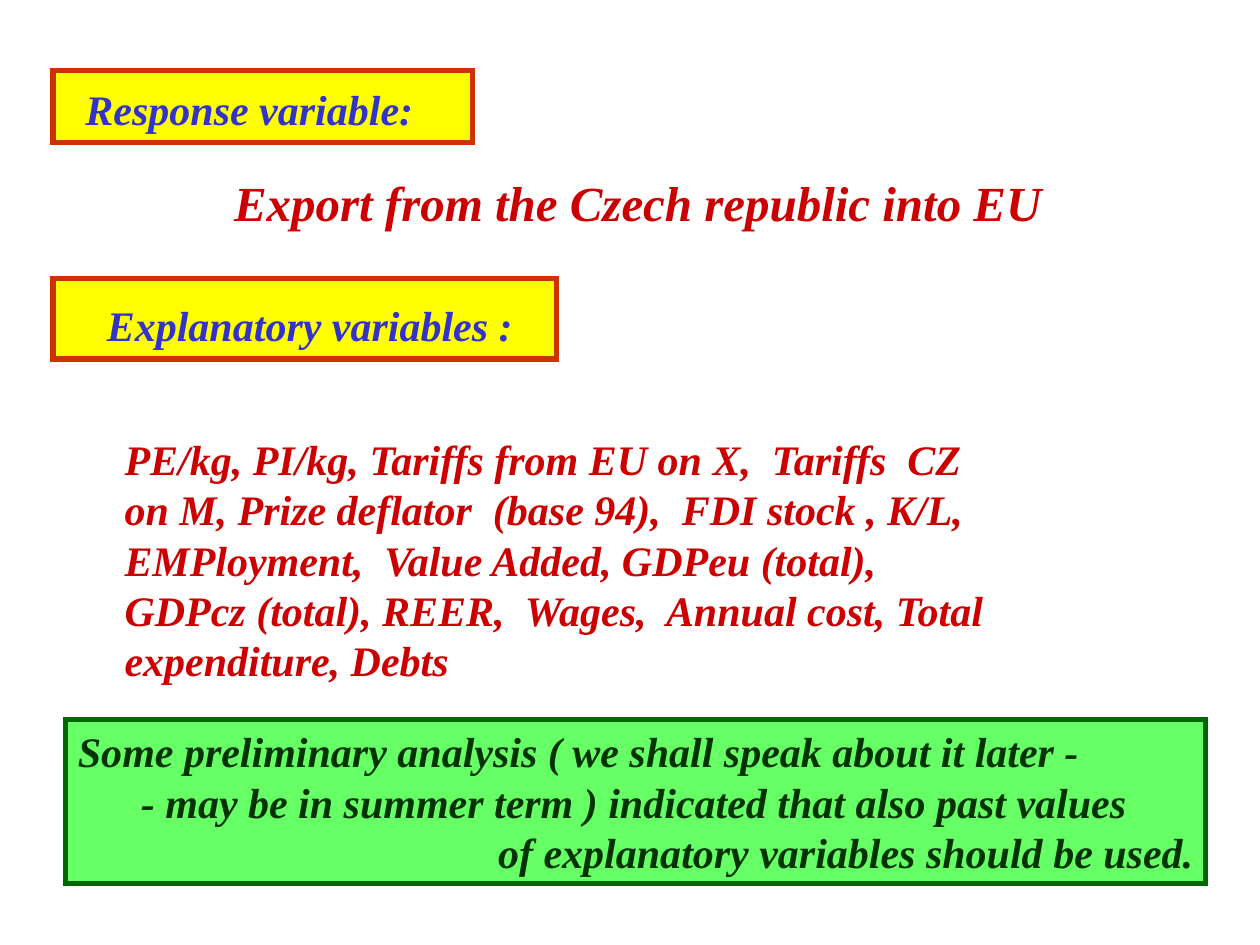
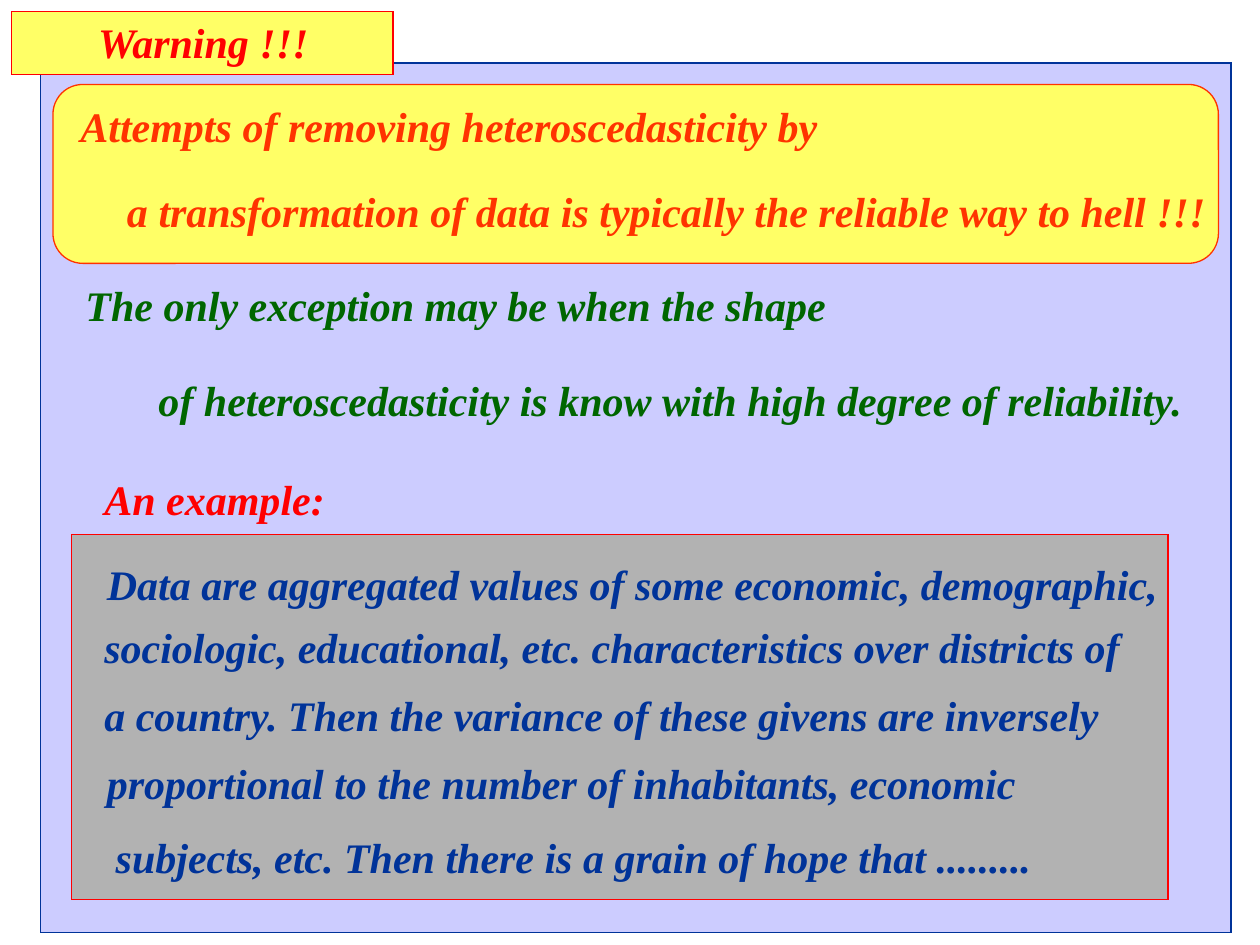
"""Build two slides on the variables of an export model and on heteroscedasticity."""
import lxml.etree
import pptx
import pptx.dml.color
import pptx.enum.shapes
import pptx.enum.text
import pptx.oxml.ns
import pptx.util

PX = 9144
FONT = "Times New Roman"
RED, CRIMSON, ORANGE = "FF0000", "CC0000", "FF3300"
BLUE, NAVY, GREEN, DARK_GREEN = "3333CC", "003399", "006600", "003300"
YELLOW, PALE_YELLOW, LIGHT_GREEN = "FFFF00", "FFFF66", "66FF66"
RECTANGLE = pptx.enum.shapes.MSO_SHAPE.RECTANGLE
ROUNDED = pptx.enum.shapes.MSO_SHAPE.ROUNDED_RECTANGLE
LINE_HEIGHT = 40


def color(hex_string):
    return pptx.dml.color.RGBColor.from_string(hex_string)


def write(shape, text, size, text_color):
    text_frame = shape.text_frame
    text_frame.text = text
    text_frame.word_wrap = False
    text_frame.vertical_anchor = pptx.enum.text.MSO_ANCHOR.TOP
    text_frame.auto_size = pptx.enum.text.MSO_AUTO_SIZE.SHAPE_TO_FIT_TEXT
    for paragraph in text_frame.paragraphs:
        paragraph.alignment = pptx.enum.text.PP_ALIGN.LEFT
        for run in paragraph.runs:
            run.font.name = FONT
            run.font.size = pptx.util.Pt(size)
            run.font.bold = run.font.italic = True
            run.font.color.rgb = color(text_color)


variables = "\n".join([
    "PE/kg, PI/kg, Tariffs from EU on X,  Tariffs  CZ",
    "on M, Prize deflator  (base 94),  FDI stock , K/L,",
    "EMPloyment,  Value Added, GDPeu (total),",
    "GDPcz (total), REER,  Wages,  Annual cost, Total",
    "expenditure, Debts",
])
remark = "\n".join([
    "Some preliminary analysis ( we shall speak about it later -",
    "- may be in summer term ) indicated that also past values",
    "of explanatory variables should be used.",
])

variable_panels = [
    (RECTANGLE, 42, 56, 333, 57, YELLOW, "CC3300", 3),
    (RECTANGLE, 42, 221, 400, 64, YELLOW, "CC3300", 3),
    (RECTANGLE, 52, 571, 905, 130, LIGHT_GREEN, GREEN, 3),
]
variable_texts = [
    (58, 61, 288, "Response variable:", 24, BLUE),
    (176, 132, 670, "Export from the Czech republic into EU", 28, CRIMSON),
    (75, 233, 350, "Explanatory variables :", 24, BLUE),
    (89, 339, 717, variables, 24, CRIMSON),
]
warning_panels = [
    (RECTANGLE, 32, 50, 945, 690, "CCCCFF", NAVY, 0.75),
    (RECTANGLE, 9, 9, 303, 50, PALE_YELLOW, RED, 0.75),
    (RECTANGLE, 57, 424, 870, 290, "B2B2B2", RED, 0.75),
    (ROUNDED, 42, 67, 925, 142, PALE_YELLOW, ORANGE, 0.75),
]
warning_texts = [
    (68, 8, 195, "Warning !!!", 24, RED),
    (54, 75, 620, "Attempts of removing heteroscedasticity by", 24, ORANGE),
    (91, 142, 900, "a transformation of data is typically the reliable way to hell !!!", 24, ORANGE),
    (58, 217, 620, "The only exception may be when the shape", 24, GREEN),
    (116, 292, 850, "of heteroscedasticity is know with high degree of reliability.", 24, GREEN),
    (73, 371, 205, "An example:", 24, RED),
    (75, 438, 870, "Data are aggregated values of some economic, demographic,", 24, NAVY),
    (73, 488, 850, "sociologic, educational, etc. characteristics over districts of", 24, NAVY),
    (73, 542, 830, "a country. Then the variance of these givens are inversely", 24, NAVY),
    (75, 596, 770, "proportional to the number of inhabitants, economic", 24, NAVY),
    (82, 655, 770, "subjects, etc. Then there is a grain of hope that .........", 24, NAVY),
]

presentation = pptx.Presentation()
presentation.slide_width = 1000 * PX
presentation.slide_height = 750 * PX

for panels, texts in [(variable_panels, variable_texts), (warning_panels, warning_texts)]:
    slide = presentation.slides.add_slide(presentation.slide_layouts[6])
    for kind, left, top, width, height, fill, line, line_width in panels:
        panel = slide.shapes.add_shape(kind, left * PX, top * PX, width * PX, height * PX)
        panel.shadow.inherit = False
        panel.fill.solid()
        panel.fill.fore_color.rgb = color(fill)
        panel.line.color.rgb = color(line)
        panel.line.width = pptx.util.Pt(line_width)
        outline = panel._element.spPr.find(pptx.oxml.ns.qn("a:ln"))
        lxml.etree.SubElement(outline, pptx.oxml.ns.qn("a:miter")).set("lim", "800000")
        if fill == LIGHT_GREEN:
            write(panel, remark, 24, DARK_GREEN)
            panel.text_frame.word_wrap = True
            first, second, third = panel.text_frame.paragraphs
            second._p.get_or_add_pPr().set("marL", str(50 * PX))
            third.alignment = pptx.enum.text.PP_ALIGN.RIGHT
    for left, top, width, text, size, text_color in texts:
        height = 10 + LINE_HEIGHT * len(text.split("\n"))
        label = slide.shapes.add_textbox(left * PX, top * PX, width * PX, height * PX)
        write(label, text, size, text_color)

presentation.save("out.pptx")
